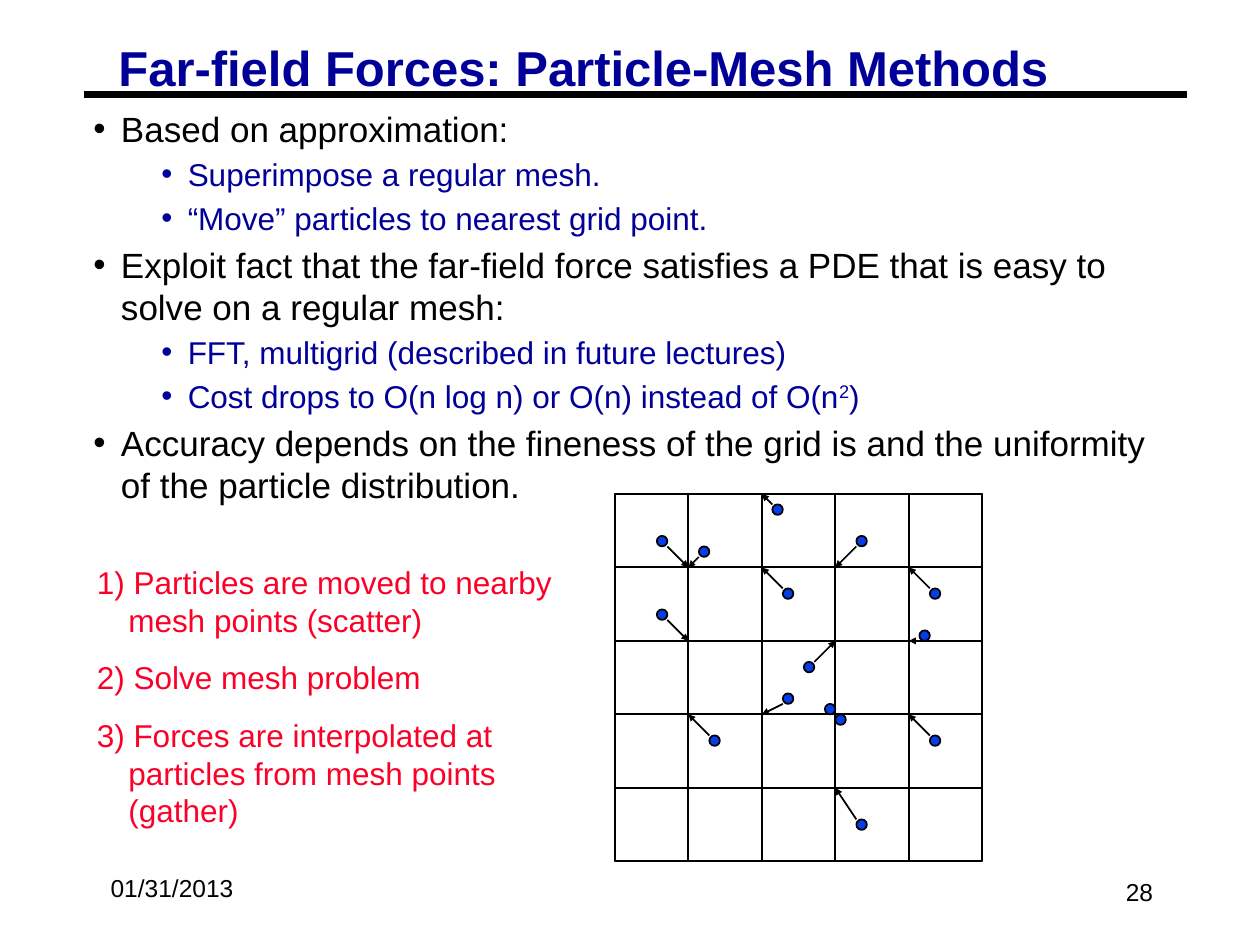
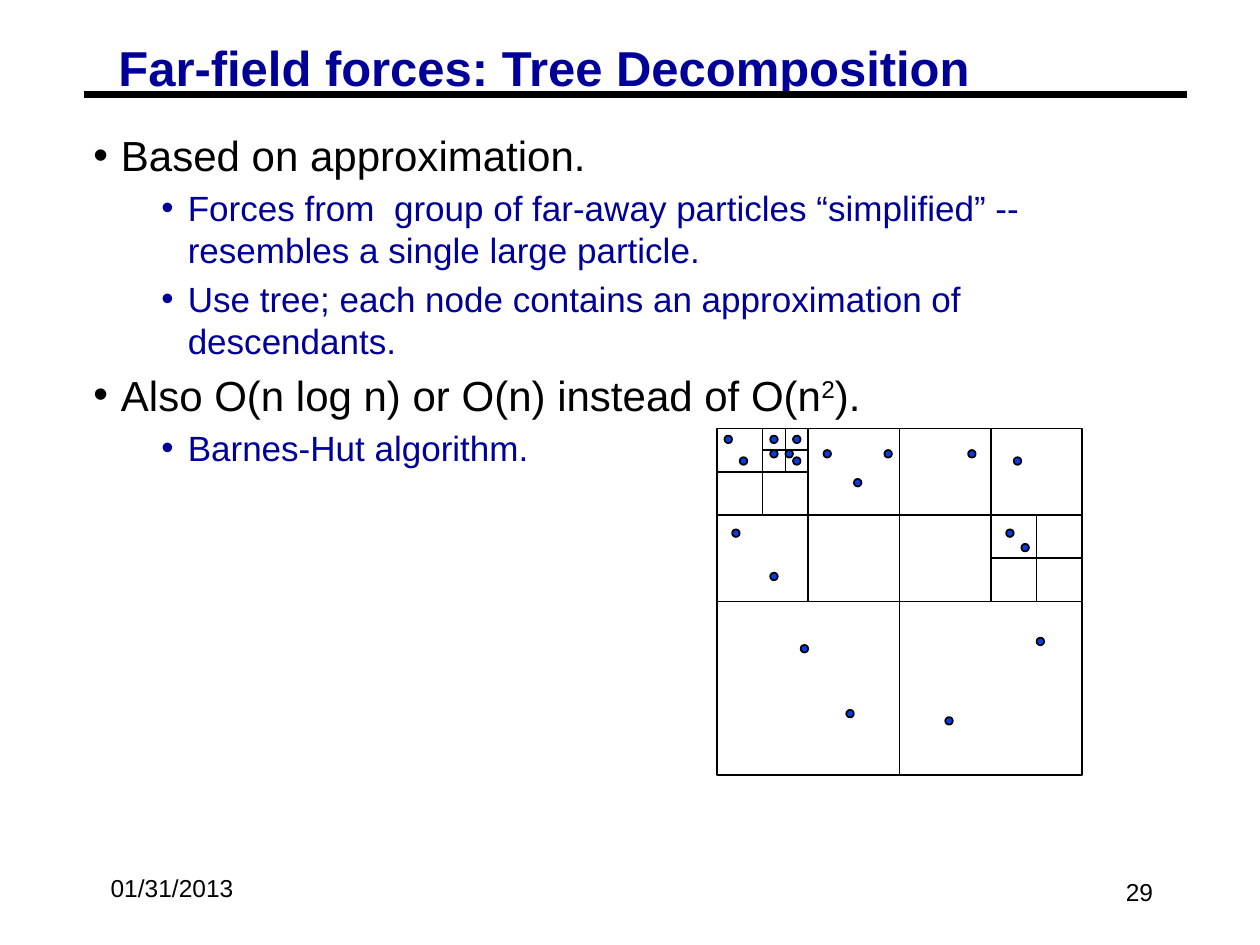
from lxml import etree
from pptx import Presentation
from pptx.dml.color import RGBColor
from pptx.enum import shapes, text
from pptx.oxml import ns
from pptx.util import Inches, Pt

BLACK = RGBColor(0x00, 0x00, 0x00)
NAVY = RGBColor(0x00, 0x00, 0x99)
BLUE = RGBColor(0x06, 0x3D, 0xE8)
RED = RGBColor(0xFC, 0x01, 0x28)
FACE = "Arial"
DATE = "01/31/2013"


class Deck:
    def __init__(self):
        self.file = Presentation()
        self.file.slide_width, self.file.slide_height = Inches(10), Inches(7.5)

    def page(self, title, width, number):
        self.slide = self.file.slides.add_slide(self.file.slide_layouts[1])
        self.pen = self.slide.shapes
        self.line((0.67, 0.75), (9.42, 0.75), 3.75)
        self.label(DATE, (0.78, 6.88, 1.4, 0.34))
        self.label(str(number), (7.17, 6.83, 2.08, 0.5),
                   text.PP_ALIGN.RIGHT, text.MSO_ANCHOR.MIDDLE)
        frame = self.place(self.slide.shapes.title, (0.87, 0.33, width, 0.46))
        para = frame.paragraphs[0]
        para.text = title
        para.alignment = text.PP_ALIGN.LEFT
        para.line_spacing = 0.87
        self.style(para, 28, NAVY, True)

    def place(self, shape, box):
        shape.left, shape.top, shape.width, shape.height = map(Inches, box)
        frame = shape.text_frame
        frame.word_wrap = True
        frame.auto_size = text.MSO_AUTO_SIZE.NONE
        frame.vertical_anchor = text.MSO_ANCHOR.TOP
        frame.margin_left = frame.margin_right = Inches(0.07)
        frame.margin_top = frame.margin_bottom = Inches(0.03)
        return frame

    def style(self, para, size, color, bold=False):
        font = para.font
        font.name, font.size, font.bold = FACE, Pt(size), bold
        font.color.rgb = color

    def label(self, words, box, align=text.PP_ALIGN.LEFT, anchor=text.MSO_ANCHOR.TOP):
        frame = self.pen.add_textbox(*map(Inches, box)).text_frame
        frame.word_wrap = False
        frame.vertical_anchor = anchor
        para = frame.paragraphs[0]
        para.text = words
        para.alignment = align
        self.style(para, 14, BLACK)

    def indent(self, para, left, hang):
        props = para._p.get_or_add_pPr()
        props.set("marL", str(Inches(left)))
        props.set("indent", str(-Inches(hang)))
        return props

    def bullet(self, para, left, hang, color):
        props = self.indent(para, left, hang)
        tint = etree.SubElement(props, ns.qn("a:buClr"))
        etree.SubElement(tint, ns.qn("a:srgbClr")).set("val", str(color))
        etree.SubElement(props, ns.qn("a:buFont")).set("typeface", FACE)
        etree.SubElement(props, ns.qn("a:buChar")).set("char", "•")

    def fill(self, frame, items, gap):
        for at, item in enumerate(items):
            para = frame.paragraphs[0] if at == 0 else frame.add_paragraph()
            for turn, part in enumerate(item.split("^")):
                run = para.add_run()
                run.text = part
                if turn % 2:
                    run._r.get_or_add_rPr().set("baseline", "30000")
            para.space_before = Pt(gap if at else 0)
            yield para

    def body(self, box, items, sizes, gaps):
        frame = self.place(self.slide.placeholders[1], box)
        levels = [level for level, _ in items]
        paras = self.fill(frame, [words for _, words in items], gaps[0])
        for level, para in zip(levels, paras):
            color = NAVY if level else BLACK
            if level:
                para.level = 1
                para.space_before = Pt(gaps[1])
            self.bullet(para, *((0.75, 0.21) if level else (0.22, 0.22)), color)
            self.style(para, sizes[level], color)

    def steps(self, box, items):
        frame = self.pen.add_textbox(*map(Inches, box)).text_frame
        frame.word_wrap = True
        for para in self.fill(frame, items, 11.2):
            self.indent(para, 0.25, 0.25)
            self.style(para, 18, RED)

    def group(self):
        self.pen = self.slide.shapes.add_group_shape().shapes

    def shape(self, kind, box, color=None):
        item = self.pen.add_shape(kind, *map(Inches, box))
        item.shadow.inherit = False
        if color is None:
            item.fill.background()
        else:
            item.fill.solid()
            item.fill.fore_color.rgb = color
        item.line.color.rgb = BLACK
        item.line.width = Pt(1)
        return item

    def rect(self, *box):
        return self.shape(shapes.MSO_SHAPE.RECTANGLE, box)

    def dot(self, *box):
        self.shape(shapes.MSO_SHAPE.OVAL, box, BLUE)

    def line(self, start, end, width=1, arrow=False):
        link = self.pen.add_connector(
            shapes.MSO_CONNECTOR.STRAIGHT, *map(Inches, start + end))
        link.line.color.rgb = BLACK
        link.line.width = Pt(width)
        props = link._element.spPr
        if arrow:
            tail = etree.SubElement(props.find(ns.qn("a:ln")), ns.qn("a:tailEnd"))
            tail.set("type", "triangle")
            tail.set("w", "sm")
            tail.set("len", "sm")
        etree.SubElement(props, ns.qn("a:effectLst"))
        return link


def mesh(deck):
    left, top, cells, step = 4.88, 3.92, 5, 7
    unit = 1 / 12
    cell, side = step * unit, cells * step * unit
    spots = [(4, 4), (8, 5), (4, 11), (16, 19), (15, 1), (18, 16), (9, 23), (20, 20),
             (29, 13), (21, 21), (23, 4), (23, 31), (30, 23), (30, 9), (16, 9)]

    def point(x, y):
        return left + x * unit, top + y * unit

    deck.group()
    for k in range(cells):
        deck.rect(left + k * cell, top, cell, side)
    for k in (0, 1, 2, 4):
        deck.rect(left, top + k * cell, side, cell)
    for spot in spots:
        deck.dot(*point(*spot), unit, unit)
    for spot in spots:
        node = tuple(step * round(v / step) for v in spot)
        edge = tuple(min(max(n, v), v + 1) for n, v in zip(node, spot))
        if edge != node:
            deck.line(point(*edge), point(*node), arrow=True)


def tree(deck):
    left, top, wide, high, parts = 5.69, 3.4, 2.9, 2.75, 48
    splits = [(0, 0, 48), (0, 0, 24), (24, 0, 24), (0, 0, 12), (6, 0, 6), (36, 12, 12)]
    spots = [(30, 40), (11, 30), (42, 29), (17, 39), (2, 14), (7, 20), (38, 14),
             (40, 16), (18, 7), (14, 3), (22, 3), (7, 1), (7, 3), (10, 1), (9, 3),
             (10, 4), (1, 1), (3, 4), (33, 3), (39, 4)]

    def point(x, y):
        return left + x * wide / parts, top + y * high / parts

    deck.group()
    root = deck.rect(left, top, wide, high)
    for x, y, size in splits:
        half = size / 2
        down = deck.line(point(x + half, y), point(x + half, y + size))
        over = deck.line(point(x, y + half), point(x + size, y + half))
        if size == parts:
            down.begin_connect(root, 0)
            down.end_connect(root, 2)
            over.begin_connect(root, 1)
            over.end_connect(root, 3)
    for spot in spots:
        deck.dot(*point(*spot), 0.06, 0.06)


def main():
    deck = Deck()

    deck.page("Far-field Forces: Particle-Mesh Methods", 7.79, 28)
    deck.body((0.67, 0.82, 8.75, 3.23), [
        (0, "Based on approximation:"),
        (1, "Superimpose a regular mesh."),
        (1, "“Move” particles to nearest grid point."),
        (0, "Exploit fact that the far-field force satisfies a PDE that is easy to "
            "solve on a regular mesh:"),
        (1, "FFT, multigrid (described in future lectures)"),
        (1, "Cost drops to O(n log n) or O(n) instead of O(n^2^)"),
        (0, "Accuracy depends on the fineness of the grid is and the uniformity "
            "of the particle distribution."),
    ], (20, 18), (3.7, 3.4))
    mesh(deck)
    deck.pen = deck.slide.shapes
    deck.steps((0.67, 4.42, 3.88, 2.22), [
        "1) Particles are moved to nearby mesh points (scatter)",
        "2) Solve mesh problem",
        "3) Forces are interpolated at particles from mesh points (gather)",
    ])

    deck.page("Far-field forces: Tree Decomposition", 8.38, 29)
    deck.body((0.67, 1, 8.75, 4.36), [
        (0, "Based on approximation."),
        (1, "Forces from  group of far-away particles “simplified” -- "
            "resembles a single large particle."),
        (1, "Use tree; each node contains an approximation of descendants."),
        (0, "Also O(n log n) or O(n) instead of O(n^2^)."),
        (1, "Barnes-Hut algorithm."),
    ], (24, 20), (4.5, 3.7))
    tree(deck)

    deck.file.save("out.pptx")


if __name__ == "__main__":
    main()
